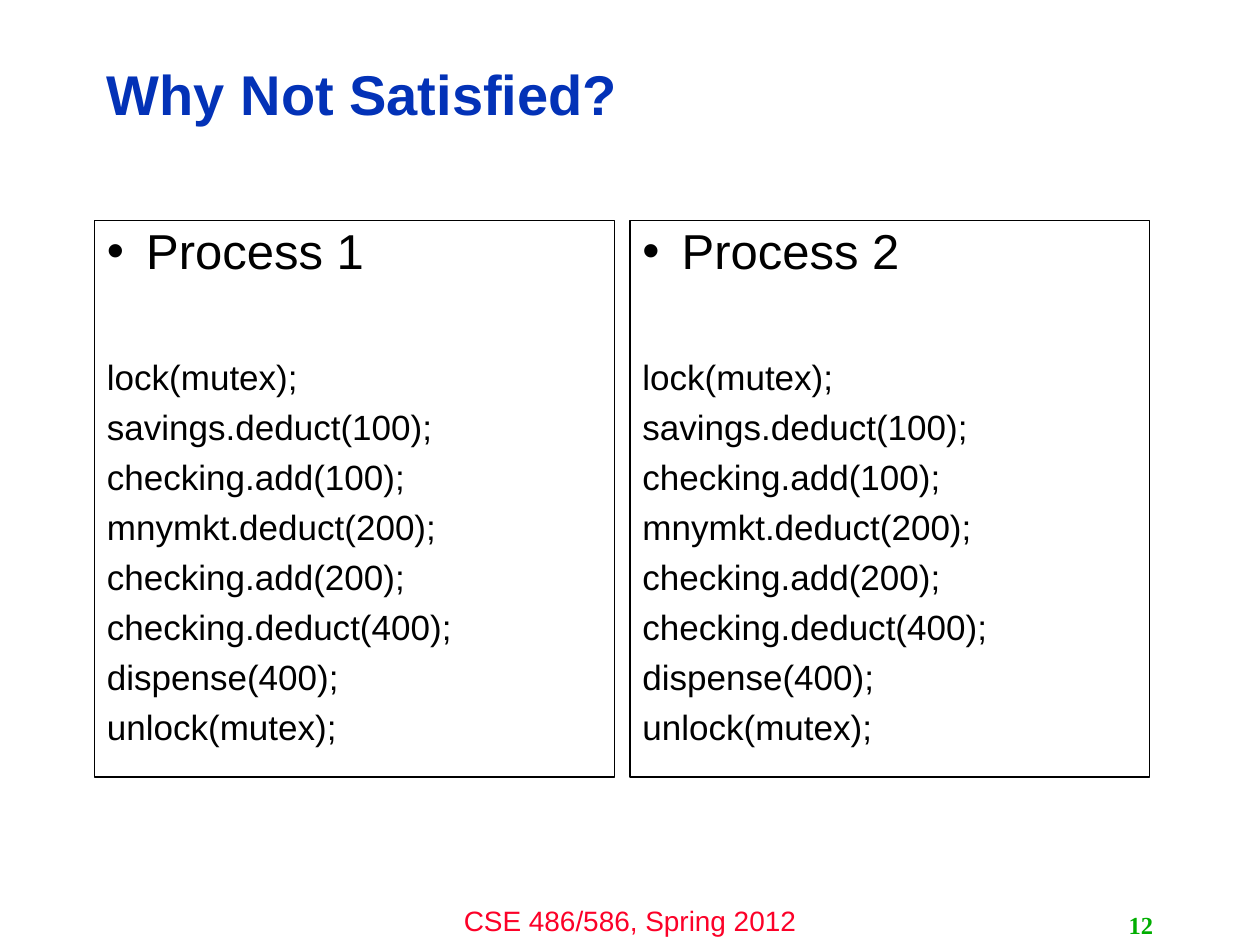
from dataclasses import dataclass

from lxml import etree
from pptx import Presentation
from pptx import util as u
from pptx.dml.color import RGBColor
from pptx.enum import shapes, text
from pptx.oxml import ns

EMU_PER_PX = 9525
STEPS = [
    "lock(mutex);",
    "savings.deduct(100);",
    "checking.add(100);",
    "mnymkt.deduct(200);",
    "checking.add(200);",
    "checking.deduct(400);",
    "dispense(400);",
    "unlock(mutex);",
]


@dataclass(frozen=True)
class Theme:
    """Colours, fonts and type sizes of the slide."""

    sans: str = "Arial"
    serif: str = "Times New Roman"
    title_color: str = "0332B7"
    body_color: str = "000000"
    footer_color: str = "FC0128"
    number_color: str = "00AE00"
    title_size: int = 32
    heading_size: int = 28
    code_size: int = 20
    footer_size: int = 16
    number_size: int = 14
    line_spacing: float = 0.9
    code_gap: int = 7
    heading_gap: int = 46


THEME = Theme()


def px(length):
    """Turn pixels into EMU."""
    return u.Emu(length * EMU_PER_PX)


def format_runs(paragraph, size, color, font=THEME.sans, bold=False):
    """Apply one font to every run of a paragraph."""
    for run in paragraph.runs:
        run.font.name = font
        run.font.size = u.Pt(size)
        run.font.bold = bold
        run.font.color.rgb = RGBColor.from_string(color)


def add_label(slide, box, wording, anchor, alignment, **style):
    """Place one line of text in a box and return its paragraph."""
    frame = slide.shapes.add_textbox(*map(px, box)).text_frame
    frame.word_wrap = True
    frame.vertical_anchor = anchor
    frame.text = wording
    paragraph = frame.paragraphs[0]
    paragraph.alignment = alignment
    format_runs(paragraph, **style)
    return paragraph


def add_title(slide, box, wording):
    """Place the slide title."""
    paragraph = add_label(slide, box, wording, text.MSO_ANCHOR.MIDDLE, text.PP_ALIGN.LEFT,
                          size=THEME.title_size, color=THEME.title_color, bold=True)
    paragraph.line_spacing = THEME.line_spacing


def add_bullet(paragraph, indent):
    """Give a paragraph a round bullet with a hanging indent."""
    properties = paragraph._p.get_or_add_pPr()
    properties.set("marL", str(px(indent)))
    properties.set("indent", str(-px(indent)))
    etree.SubElement(properties, ns.qn("a:buFont"), typeface=THEME.sans)
    etree.SubElement(properties, ns.qn("a:buChar"), char="•")


def add_process(slide, box, heading, steps):
    """Draw a framed panel with a bulleted heading above its code steps."""
    shape = slide.shapes.add_shape(shapes.MSO_SHAPE.RECTANGLE, *map(px, box))
    shape.shadow.inherit = False
    shape.fill.background()
    shape.line.color.rgb = RGBColor.from_string(THEME.body_color)
    shape.line.width = u.Pt(0.75)
    frame = shape.text_frame
    frame.word_wrap = True
    frame.vertical_anchor = text.MSO_ANCHOR.TOP
    frame.text = "\n".join([heading, *steps])
    for index, paragraph in enumerate(frame.paragraphs):
        paragraph.alignment = text.PP_ALIGN.LEFT
        paragraph.line_spacing = THEME.line_spacing
        if index == 0:
            add_bullet(paragraph, 30)
        else:
            gap = THEME.heading_gap if index == 1 else THEME.code_gap
            paragraph.space_before = u.Pt(gap)
        size = THEME.code_size if index else THEME.heading_size
        format_runs(paragraph, size, THEME.body_color)


def add_processes(slide, box, gap, headings):
    """Set equal process panels side by side within a box."""
    left, top, width, height = box
    panel_width = (width - gap * (len(headings) - 1)) // len(headings)
    for index, heading in enumerate(headings):
        panel_left = left + index * (panel_width + gap)
        add_process(slide, (panel_left, top, panel_width, height), heading, STEPS)


def add_footer(slide, box, wording):
    """Place the centred course footer."""
    add_label(slide, box, wording, text.MSO_ANCHOR.TOP, text.PP_ALIGN.CENTER,
              size=THEME.footer_size, color=THEME.footer_color)


def add_page_number(slide, box, number):
    """Place the page number at the right of a box."""
    add_label(slide, box, number, text.MSO_ANCHOR.MIDDLE, text.PP_ALIGN.RIGHT,
              size=THEME.number_size, color=THEME.number_color,
              font=THEME.serif, bold=True)


def main():
    """Build and save the slide."""
    presentation = Presentation()
    presentation.slide_width, presentation.slide_height = px(960), px(720)
    slide = presentation.slides.add_slide(presentation.slide_layouts[6])
    add_footer(slide, (320, 684, 320, 36), "CSE 486/586, Spring 2012")
    add_title(slide, (72, 35, 766, 78), "Why Not Satisfied?")
    add_processes(slide, (72, 168, 804, 424), 12, ["Process 1", "Process 2"])
    add_page_number(slide, (688, 689, 200, 31), "12")
    presentation.save("out.pptx")


if __name__ == "__main__":
    main()
